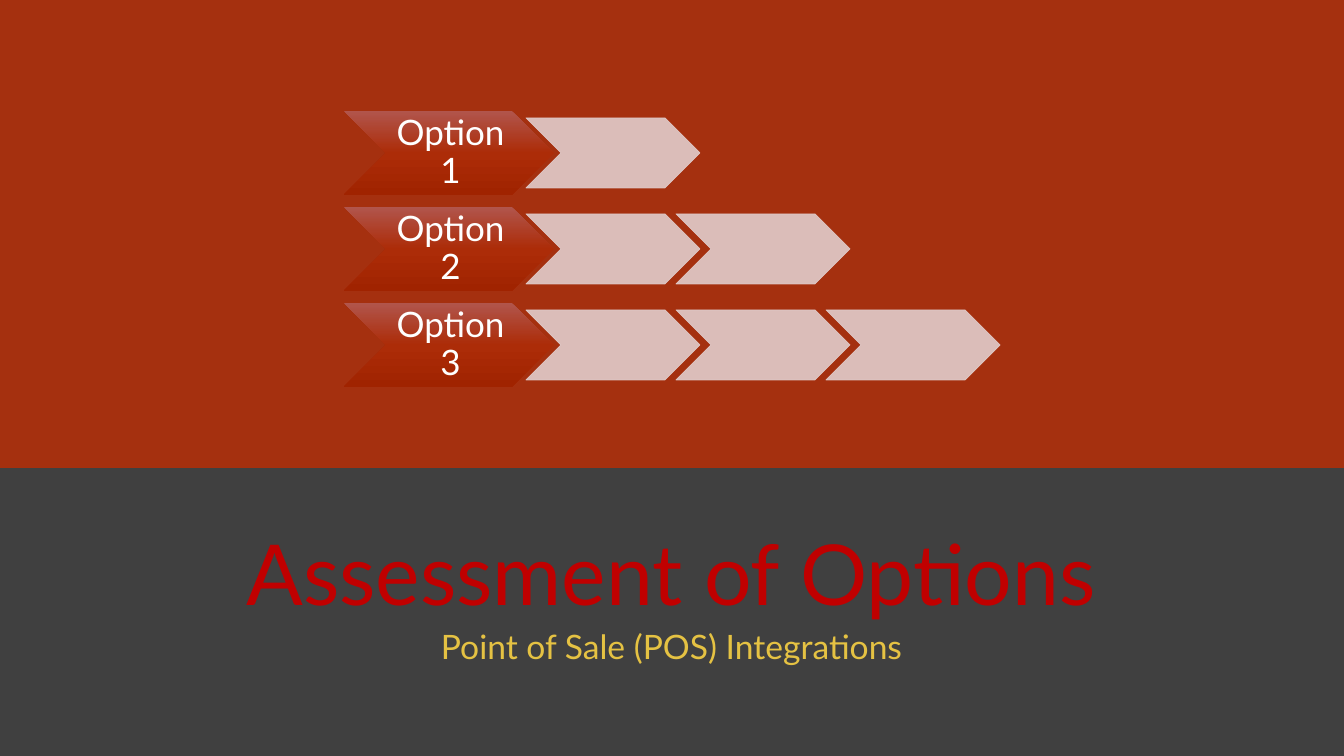
from lxml.etree import SubElement
from pptx import Presentation
from pptx.dml.color import RGBColor
from pptx.enum.shapes import MSO_SHAPE as Shape
from pptx.enum.text import MSO_ANCHOR as Anchor, PP_ALIGN as Align
from pptx.oxml.ns import qn
from pptx.util import Emu, Pt

FONT = "Lato"
BACKGROUND = "A5300F"
BAND = "404040"
STEP_FILL = "E1CDCC"
LABEL_GRADIENT = [(0, "B1554C"), (50, "AC2C08"), (100, "A02300")]
OPTIONS = [("Option 1", 1), ("Option 2", 2), ("Option 3", 3)]
HEADINGS = [
    ("Assessment of Options", (78, 496, 1186, 133), 60, "C00000", Anchor.BOTTOM, 0),
    ("Point of Sale (POS) Integrations", (152, 625, 1039, 80), 24, "E5C243", Anchor.TOP, 10),
]
SLIDE_WIDTH, SLIDE_HEIGHT = 1344, 756
BAND_TOP = 468
ROW_TOP, ROW_PITCH = 111, 96
LABEL_LEFT, LABEL_WIDTH, LABEL_HEIGHT = 344, 210, 84
LABEL_TEXT_INSET = LABEL_HEIGHT // 2
STEP_LEFT, STEP_PITCH, STEP_WIDTH, STEP_HEIGHT = 526, 150, 174, 70


def px(length):
    return Emu(round(length * 914400 / 100.8))


def color(hex_string):
    return RGBColor.from_string(hex_string)


def add_shape(shapes, kind, box):
    shape = shapes.add_shape(kind, *map(px, box))
    shape.shadow.inherit = False
    shape.line.fill.background()
    return shape


def fill_solid(fill, hex_string, opacity=100):
    fill.solid()
    fill.fore_color.rgb = color(hex_string)
    if opacity < 100:
        solid = fill._xPr.find(qn("a:solidFill"))
        SubElement(solid[0], qn("a:alpha"), val=str(opacity * 1000))


def fill_gradient(shape, stops):
    shape.fill.gradient()
    shape.fill.gradient_angle = 270
    stop_list = shape._element.spPr.find(qn("a:gradFill")).find(qn("a:gsLst"))
    for old_stop in list(stop_list):
        stop_list.remove(old_stop)
    for position, hex_string in stops:
        stop = SubElement(stop_list, qn("a:gs"), pos=str(position * 1000))
        SubElement(stop, qn("a:srgbClr"), val=hex_string)


def add_text(shapes, text, box, size, hex_string, anchor, space_before=0, insets=(10, 5, 10, 5)):
    frame = shapes.add_textbox(*map(px, box)).text_frame
    frame.word_wrap = True
    frame.vertical_anchor = anchor
    frame.margin_left, frame.margin_top, frame.margin_right, frame.margin_bottom = map(px, insets)
    paragraph = frame.paragraphs[0]
    paragraph.alignment = Align.CENTER
    paragraph.line_spacing = 0.9
    paragraph.space_before = Pt(space_before)
    run = paragraph.add_run()
    run.text = text
    run.font.name = FONT
    run.font.size = Pt(size)
    run.font.color.rgb = color(hex_string)


def add_option_row(shapes, top, label, step_count):
    chevron = add_shape(shapes, Shape.CHEVRON, (LABEL_LEFT, top, LABEL_WIDTH, LABEL_HEIGHT))
    fill_gradient(chevron, LABEL_GRADIENT)
    text_box = (LABEL_LEFT + LABEL_TEXT_INSET, top, LABEL_WIDTH - 2 * LABEL_TEXT_INSET, LABEL_HEIGHT)
    add_text(shapes, label, text_box, 25, "FFFFFF", Anchor.MIDDLE, insets=(3, 2, 0, 2))
    step_top = top + (LABEL_HEIGHT - STEP_HEIGHT) // 2
    for index in range(step_count):
        left = STEP_LEFT + index * STEP_PITCH
        step = add_shape(shapes, Shape.CHEVRON, (left, step_top, STEP_WIDTH, STEP_HEIGHT))
        fill_solid(step.fill, STEP_FILL, 90)
        step.line.width = Pt(0.5)
        fill_solid(step.line.fill, STEP_FILL, 90)


def main():
    presentation = Presentation()
    presentation.slide_width = px(SLIDE_WIDTH)
    presentation.slide_height = px(SLIDE_HEIGHT)
    slide = presentation.slides.add_slide(presentation.slide_layouts[6])
    fill_solid(slide.background.fill, BACKGROUND)
    band = add_shape(slide.shapes, Shape.RECTANGLE, (0, BAND_TOP, SLIDE_WIDTH, SLIDE_HEIGHT - BAND_TOP))
    fill_solid(band.fill, BAND)
    for heading in HEADINGS:
        add_text(slide.shapes, *heading)
    diagram = slide.shapes.add_group_shape()
    for row, (label, step_count) in enumerate(OPTIONS):
        add_option_row(diagram.shapes, ROW_TOP + row * ROW_PITCH, label, step_count)
    presentation.save("out.pptx")


if __name__ == "__main__":
    main()
